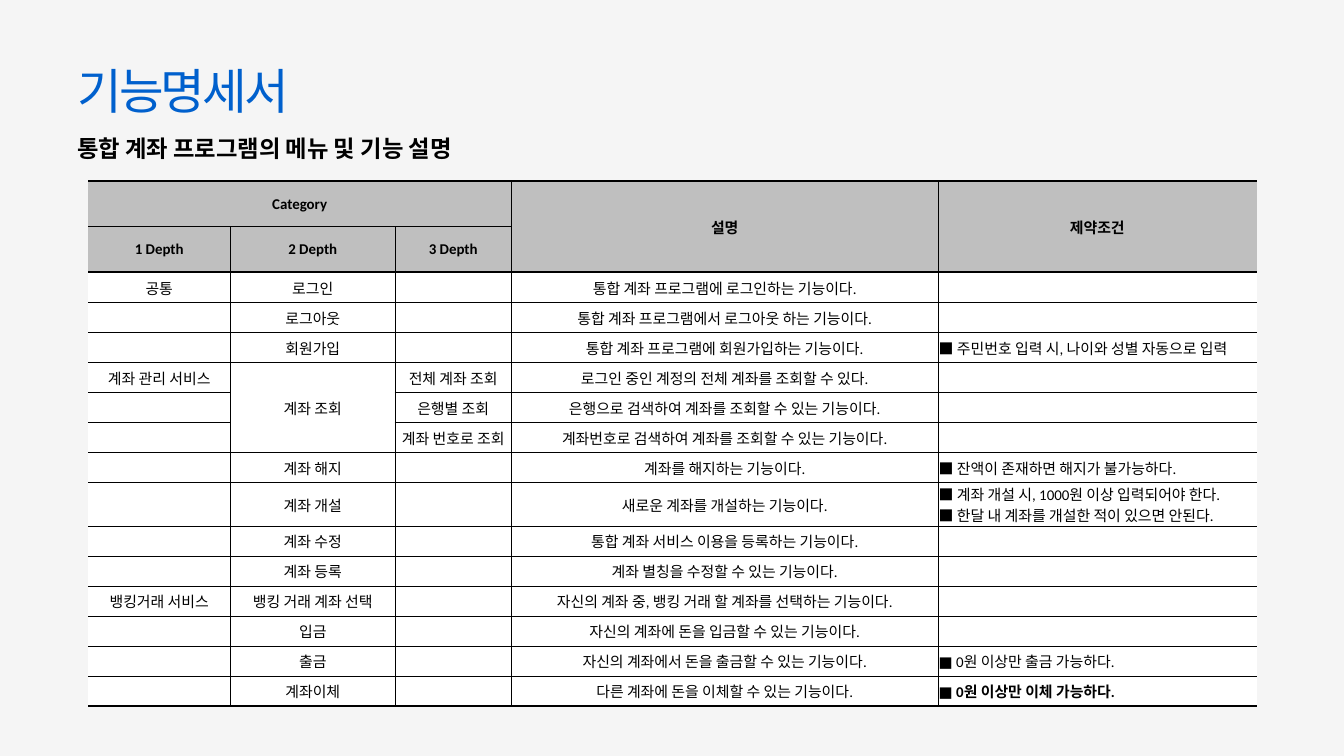
"""Build the function specification slide with its menu table."""
from typing import NamedTuple

from lxml.etree import SubElement
from pptx import Presentation
from pptx.dml.color import RGBColor
from pptx.enum.text import MSO_ANCHOR, MSO_AUTO_SIZE, PP_ALIGN
from pptx.oxml.ns import qn
from pptx.util import Pt

PAPER = RGBColor(0xF5, 0xF5, 0xF5)
BLUE = RGBColor(0x00, 0x60, 0xCD)
BLACK = RGBColor(0x00, 0x00, 0x00)
GRAY = RGBColor(0xBF, 0xBF, 0xBF)
WHITE = RGBColor(0xFF, 0xFF, 0xFF)
HANGUL = "Noto Sans CJK KR"
LATIN = "Calibri"


class Heading(NamedTuple):
    text: str
    box: tuple[float, float, float, float]
    size: float
    color: RGBColor
    bold: bool
    track: int


class Item(NamedTuple):
    first: str
    second: str
    third: str
    about: str
    limit: str = ""


class Merge(NamedTuple):
    top: int
    left: int
    bottom: int
    right: int


TITLE = Heading("기능명세서", (75.6, 68.4, 463.7, 94.3), 52, BLUE, False, -300)
LEAD = Heading("통합 계좌 프로그램의 메뉴 및 기능 설명", (75.6, 143.3, 529.9, 46.1), 25, BLACK, True, 0)
HEADS = [
    Item("Category", "", "", "설명", "제약조건"),
    Item("1 Depth", "2 Depth", "3 Depth", ""),
]
ITEMS = [
    Item("공통", "로그인", "", "통합 계좌 프로그램에 로그인하는 기능이다."),
    Item("", "로그아웃", "", "통합 계좌 프로그램에서 로그아웃 하는 기능이다."),
    Item("", "회원가입", "", "통합 계좌 프로그램에 회원가입하는 기능이다.",
         "■ 주민번호 입력 시, 나이와 성별 자동으로 입력"),
    Item("계좌 관리 서비스", "계좌 조회", "전체 계좌 조회", "로그인 중인 계정의 전체 계좌를 조회할 수 있다."),
    Item("", "", "은행별 조회", "은행으로 검색하여 계좌를 조회할 수 있는 기능이다."),
    Item("", "", "계좌 번호로 조회", "계좌번호로 검색하여 계좌를 조회할 수 있는 기능이다."),
    Item("", "계좌 해지", "", "계좌를 해지하는 기능이다.", "■ 잔액이 존재하면 해지가 불가능하다."),
    Item("", "계좌 개설", "", "새로운 계좌를 개설하는 기능이다.",
         "■ 계좌 개설 시, 1000원 이상 입력되어야 한다.\n■ 한달 내 계좌를 개설한 적이 있으면 안된다."),
    Item("", "계좌 수정", "", "통합 계좌 서비스 이용을 등록하는 기능이다."),
    Item("", "계좌 등록", "", "계좌 별칭을 수정할 수 있는 기능이다."),
    Item("뱅킹거래 서비스", "뱅킹 거래 계좌 선택", "", "자신의 계좌 중, 뱅킹 거래 할 계좌를 선택하는 기능이다."),
    Item("", "입금", "", "자신의 계좌에 돈을 입금할 수 있는 기능이다."),
    Item("", "출금", "", "자신의 계좌에서 돈을 출금할 수 있는 기능이다.", "■ 0원 이상만 출금 가능하다."),
    Item("", "계좌이체", "", "다른 계좌에 돈을 이체할 수 있는 기능이다.", "■ 0원 이상만 이체 가능하다."),
]
ROWS = HEADS + ITEMS
WIDTHS = [152.64, 176.4, 124.56, 457.2, 341.28]
HEIGHTS = [49.0] * len(HEADS) + [32.15] * len(ITEMS)
MERGES = [Merge(0, 0, 0, 2), Merge(0, 3, 1, 3), Merge(0, 4, 1, 4), Merge(5, 1, 7, 1)]
RULES = {0: 2, len(HEADS): 2.25, len(ROWS): 2}


def style(run, face: str, size: float, color: RGBColor, bold: bool) -> None:
    """Format a run for both Latin and Korean letters."""
    font = run.font
    font.name, font.size, font.bold = face, Pt(size), bold
    font.color.rgb = color
    SubElement(run._r.get_or_add_rPr(), qn("a:ea"), typeface=HANGUL)


def write(shape, head: Heading) -> None:
    """Place a heading and fill in its text."""
    shape.left, shape.top, shape.width, shape.height = map(Pt, head.box)
    frame = shape.text_frame
    frame.text = head.text
    frame.word_wrap = True
    frame.auto_size = MSO_AUTO_SIZE.NONE
    frame.vertical_anchor = MSO_ANCHOR.TOP
    line = frame.paragraphs[0]
    line.alignment = PP_ALIGN.JUSTIFY
    line.line_spacing = 0.9
    run = line.runs[0]
    style(run, HANGUL, head.size, head.color, head.bold)
    run.font._element.set("spc", str(head.track))


def edge(cell, side: str, width: float) -> None:
    """Draw one cell border, or hide it when the width is zero."""
    line = SubElement(cell._tc.get_or_add_tcPr(), qn(f"a:ln{side}"), w=str(Pt(width)))
    if width:
        fill = SubElement(line, qn("a:solidFill"))
        SubElement(fill, qn("a:srgbClr"), val=str(BLACK))
    else:
        SubElement(line, qn("a:noFill"))


def frame_cell(cell, row: int, col: int) -> None:
    """Give a cell the borders that its place in the grid calls for."""
    end, last = row + cell.span_height, col + cell.span_width
    edge(cell, "L", 1 if col else 0)
    edge(cell, "R", 1 if last < len(WIDTHS) else 0)
    edge(cell, "T", RULES.get(row, 1))
    edge(cell, "B", RULES.get(end, 1))


def fill_cell(cell, text: str, row: int, col: int) -> None:
    """Set the fill, margins and text of a cell."""
    head = row < len(HEADS)
    cell.fill.solid()
    cell.fill.fore_color.rgb = GRAY if head else WHITE
    cell.vertical_anchor = MSO_ANCHOR.MIDDLE
    cell.margin_left = cell.margin_right = cell.margin_top = Pt(0.72)
    cell.margin_bottom = Pt(0)
    cell.text_frame.text = text
    bold = head or (row == len(ROWS) - 1 and col == len(WIDTHS) - 1)
    for line in cell.text_frame.paragraphs:
        line.alignment = PP_ALIGN.CENTER if head or col < 4 else PP_ALIGN.LEFT
        for run in line.runs:
            style(run, LATIN, 16, BLACK, bold)


def draw_table(slide) -> None:
    """Add the menu table."""
    shape = slide.shapes.add_table(len(ROWS), len(WIDTHS), Pt(94.3), Pt(193.9),
                                   Pt(sum(WIDTHS)), Pt(sum(HEIGHTS)))
    table = shape.table
    table.first_row = table.horz_banding = False
    for part, width in zip(table.columns, WIDTHS):
        part.width = Pt(width)
    for part, height in zip(table.rows, HEIGHTS):
        part.height = Pt(height)
    for area in MERGES:
        table.cell(area.top, area.left).merge(table.cell(area.bottom, area.right))
    for row, item in enumerate(ROWS):
        for col, text in enumerate(item):
            cell = table.cell(row, col)
            if not cell.is_spanned:
                frame_cell(cell, row, col)
                fill_cell(cell, text, row, col)


def main() -> None:
    """Build and save the deck."""
    deck = Presentation()
    deck.slide_width, deck.slide_height = Pt(1440), Pt(810)
    slide = deck.slides.add_slide(deck.slide_layouts[5])
    slide.background.fill.solid()
    slide.background.fill.fore_color.rgb = PAPER
    write(slide.shapes.title, TITLE)
    write(slide.shapes.add_textbox(*map(Pt, LEAD.box)), LEAD)
    draw_table(slide)
    deck.save("out.pptx")


if __name__ == "__main__":
    main()
